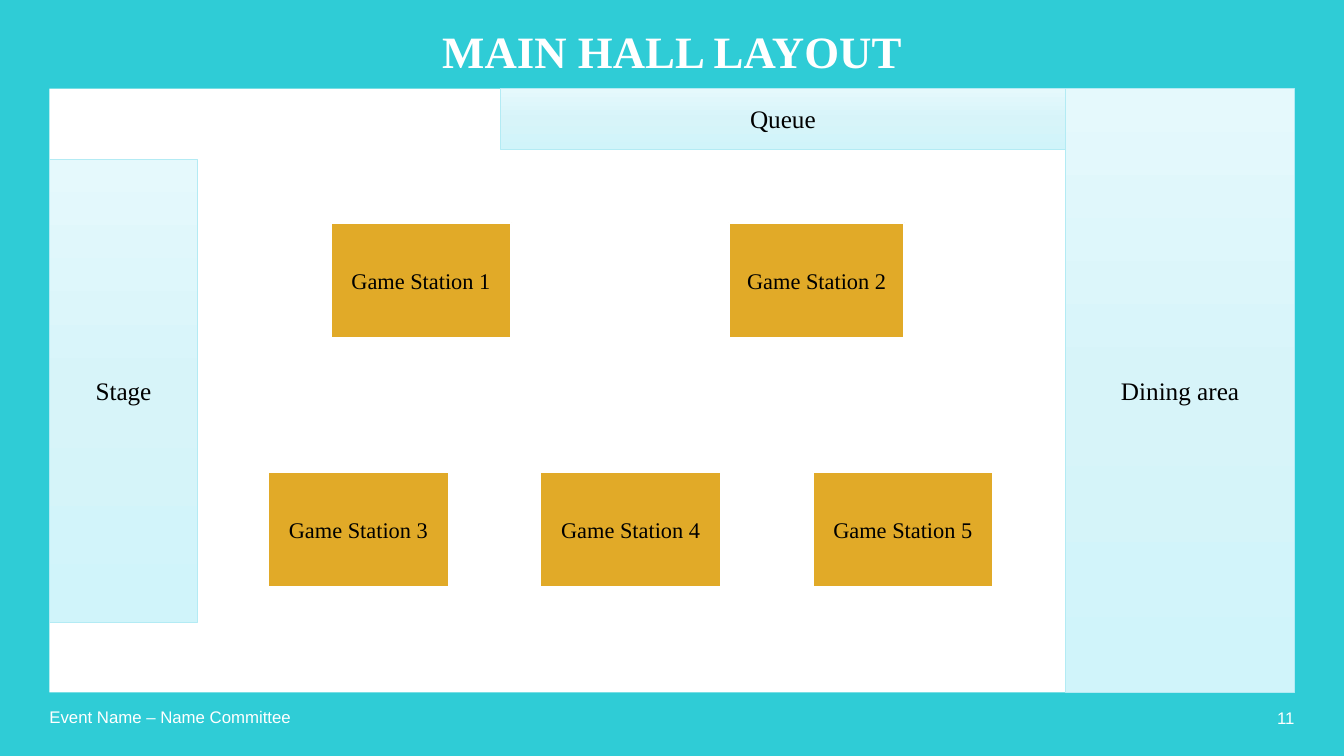
"""Builds the main hall layout slide: a floor plan with areas and game stations."""
from copy import deepcopy

from pptx import Presentation
from pptx import util as u
from pptx.dml.color import RGBColor
from pptx.enum import shapes, text
from pptx.oxml.ns import qn

TEAL = RGBColor(0x2F, 0xCC, 0xD6)
WHITE = RGBColor(0xFF, 0xFF, 0xFF)
BLACK = RGBColor(0x00, 0x00, 0x00)
GOLD = RGBColor(0xE1, 0xAA, 0x28)
AREA_LINE = RGBColor(0xB3, 0xEB, 0xF4)
AREA_STOPS = [RGBColor(0xE5, 0xF9, 0xFC), RGBColor(0xD7, 0xF4, 0xF9), RGBColor(0xD0, 0xF4, 0xFA)]
SERIF, SANS = "Times New Roman", "Arial"

prs = Presentation()
prs.slide_width, prs.slide_height = u.Inches(13.33), u.Inches(7.5)
s = prs.slides.add_slide(prs.slide_layouts[5])
s.background.fill.solid()
s.background.fill.fore_color.rgb = TEAL


def write(sp, words, font, size, color, align, anchor=text.MSO_ANCHOR.MIDDLE, inset=None):
    """Put one formatted paragraph into a shape and return it."""
    tf = sp.text_frame
    tf.text = words
    tf.word_wrap = True
    tf.auto_size = text.MSO_AUTO_SIZE.NONE
    tf.vertical_anchor = anchor
    if inset is not None:
        tf.margin_left = tf.margin_right = tf.margin_top = tf.margin_bottom = inset
    p = tf.paragraphs[0]
    p.alignment = align
    r = p.runs[0]
    r.font.name, r.font.size, r.font.color.rgb = font, u.Pt(size), color
    return p


def add_box(x, y, w, h):
    """Add a shadowless rectangle measured in inches."""
    sp = s.shapes.add_shape(shapes.MSO_SHAPE.RECTANGLE, *map(u.Inches, (x, y, w, h)))
    sp.shadow.inherit = False
    return sp


left, top, width, height = 0.49, 0.88, 12.35, 5.99
right = left + width
CENTER, TOP = text.PP_ALIGN.CENTER, text.MSO_ANCHOR.TOP

title = s.shapes.title
title.left, title.top, title.width, title.height = map(u.Inches, (left, 0.3, width, 0.4))
p = write(title, "MAIN HALL LAYOUT", SERIF, 32, WHITE, CENTER, TOP, 0)
p.line_spacing = 0.9
p.runs[0].font.bold = True

for words, x, y, w, h, align in [
    ("Event Name – Name Committee", left, 7.01, 4.47, 0.34, text.PP_ALIGN.LEFT),
    ("11", right - 3, 7.02, 3, 0.4, text.PP_ALIGN.RIGHT),
]:
    footer = s.shapes.add_textbox(*map(u.Inches, (x, y, w, h)))
    write(footer, words, SANS, 12, WHITE, align, TOP, 0)

hall = add_box(left, top, width, height)
hall.fill.solid()
hall.fill.fore_color.rgb = WHITE
hall.line.fill.background()

dining_w, queue_w, stage_h = 2.27, 5.61, 4.59
dining_x = right - dining_w
for words, x, y, w, h in [
    ("Stage", left, top + (height - stage_h) / 2, 1.47, stage_h),
    ("Dining area", dining_x, top, dining_w, height),
    ("Queue", dining_x - queue_w, top, queue_w, 0.6),
]:
    area = add_box(x, y, w, h)
    area.fill.gradient()
    area.fill.gradient_angle = 270
    first = next(area._element.spPr.iter(qn("a:gs")))
    first.addnext(deepcopy(first))
    for i, stop in enumerate(area.fill.gradient_stops):
        stop.position = i / 2
        stop.color.rgb = AREA_STOPS[i]
    area.line.color.rgb = AREA_LINE
    area.line.width = u.Pt(0.5)
    write(area, words, SERIF, 18, BLACK, CENTER)

station_w, station_h = 1.79, 1.14
upper, lower = 2.21, 4.68
stations = [(3.28, upper, station_w), (7.23, upper, 1.74)]
stations += [(2.66 + 2.7 * col, lower, station_w) for col in range(3)]
for number, (x, y, w) in enumerate(stations, 1):
    station = add_box(x, y, w, station_h)
    station.fill.solid()
    station.fill.fore_color.rgb = GOLD
    station.line.color.rgb = WHITE
    station.line.width = u.Pt(1.5)
    write(station, f"Game Station {number}", SERIF, 16, BLACK, CENTER)

prs.save("out.pptx")
